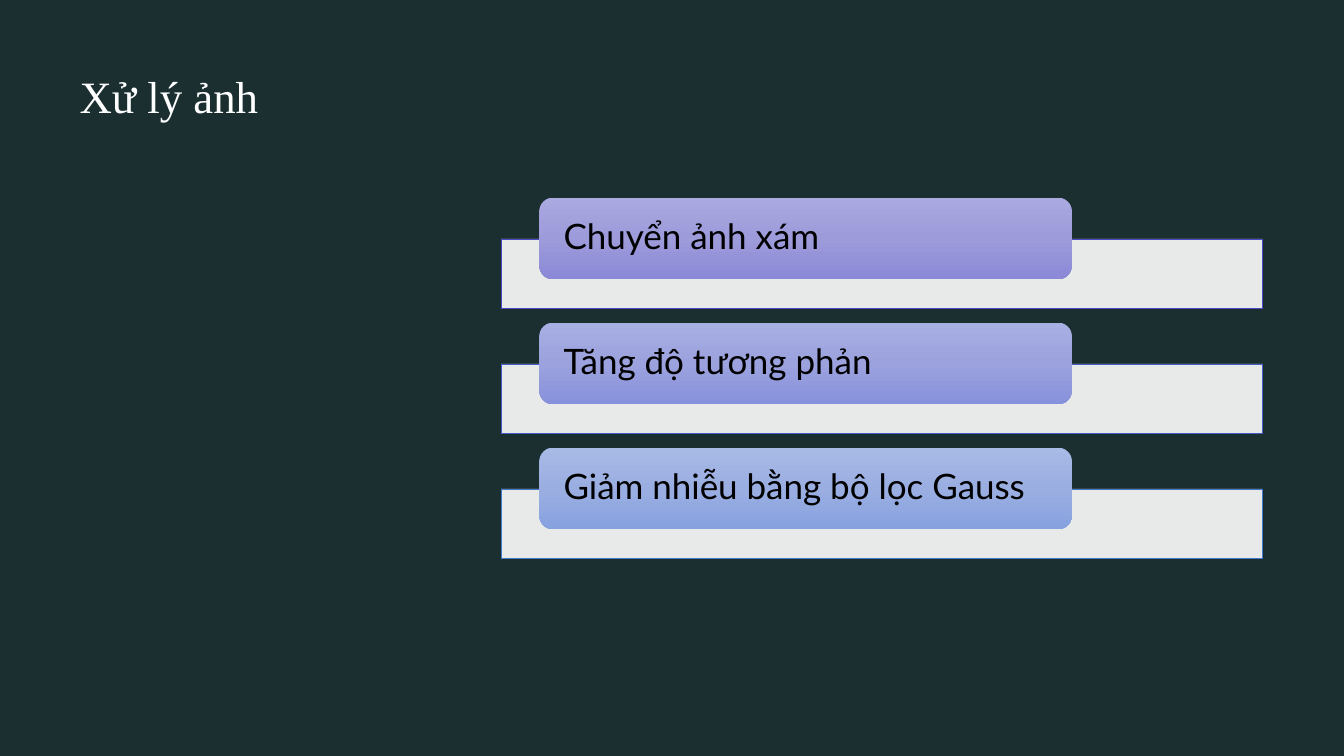
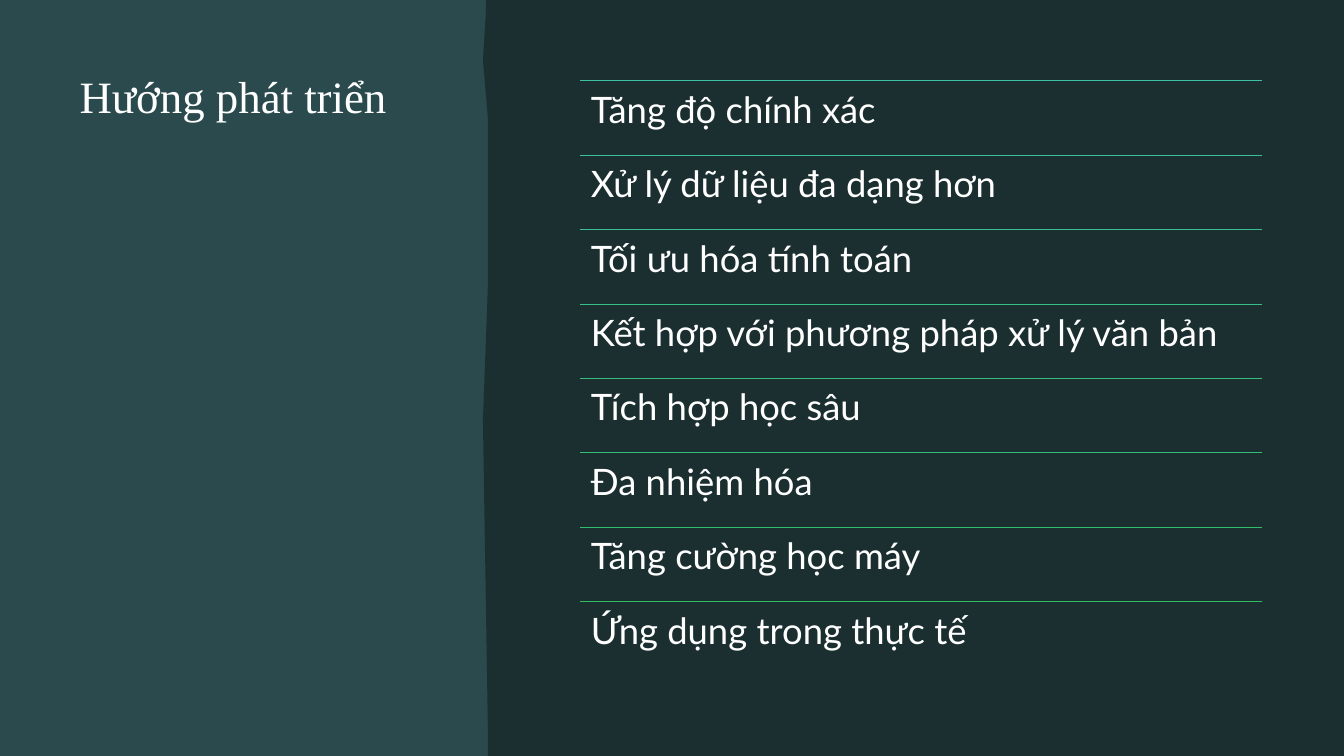
from copy import deepcopy

from lxml import etree
from pptx import Presentation
from pptx.dml.color import RGBColor
from pptx.enum.shapes import MSO_CONNECTOR, MSO_SHAPE
from pptx.enum.text import MSO_ANCHOR, PP_ALIGN
from pptx.oxml.ns import qn
from pptx.util import Inches, Pt

RECTANGLE = MSO_SHAPE.RECTANGLE
ROUNDED = MSO_SHAPE.ROUNDED_RECTANGLE
STRAIGHT = MSO_CONNECTOR.STRAIGHT
TOP, MIDDLE = MSO_ANCHOR.TOP, MSO_ANCHOR.MIDDLE
LEFT = PP_ALIGN.LEFT

COLORS = {
    name: RGBColor.from_string(value)
    for name, value in {
        "background": "1B2F31",
        "panel": "2A4A4D",
        "white": "FFFFFF",
        "black": "000000",
    }.items()
}
TITLE_FONT, BODY_FONT = "Times New Roman", "Lato"

prs = Presentation()
prs.slide_width, prs.slide_height = Inches(13.33), Inches(7.5)


def write(shape, text, font, size, color, margins=(0, 0), anchor=TOP, spacing=1.0):
    frame = shape.text_frame
    frame.word_wrap = True
    frame.vertical_anchor = anchor
    frame.margin_left = frame.margin_right = Inches(margins[0])
    frame.margin_top = frame.margin_bottom = Inches(margins[1])
    paragraph = frame.paragraphs[0]
    paragraph.text = text
    paragraph.alignment = LEFT
    paragraph.line_spacing = spacing
    paragraph.font.name = font
    paragraph.font.size = Pt(size)
    paragraph.font.color.rgb = COLORS[color]


def add_slide(title, background):
    slide = prs.slides.add_slide(prs.slide_layouts[6])
    slide.background.fill.solid()
    slide.background.fill.fore_color.rgb = COLORS[background]
    heading = slide.shapes.add_textbox(Inches(0.79), Inches(0.68), Inches(3.4), Inches(6.03))
    write(heading, title, TITLE_FONT, 32, "white")
    return slide


processing = add_slide("Xử lý ảnh", "background")
steps = [
    ("Chuyển ảnh xám", "4B47C5", ("AAA9E0", "9D9BDA", "8B89D8")),
    ("Tăng độ tương phản", "445CCA", ("A8AFE3", "9BA2DD", "8892DC")),
    ("Giảm nhiễu bằng bộ lọc Gauss", "4178CF", ("A8BAE6", "9AAEE1", "87A2E0")),
]
for index, (step, outline, shades) in enumerate(steps):
    top = 1.96 + 1.24 * index
    bar = processing.shapes.add_shape(
        RECTANGLE, Inches(4.97), Inches(top + 0.41), Inches(7.55), Inches(0.69))
    bar.shadow.inherit = False
    bar.fill.solid()
    bar.fill.fore_color.rgb = COLORS["white"]
    white = bar._element.spPr.find(".//" + qn("a:srgbClr"))
    etree.SubElement(white, qn("a:alpha"), val="90000")
    bar.line.color.rgb = RGBColor.from_string(outline)
    bar.line.width = Pt(0.5)

    label = processing.shapes.add_shape(
        ROUNDED, Inches(5.35), Inches(top), Inches(5.28), Inches(0.81))
    label.shadow.inherit = False
    label.line.fill.background()
    label.fill.gradient()
    label.fill.gradient_angle = 270
    stops = label._element.spPr.find(".//" + qn("a:gsLst"))
    stops.insert(1, deepcopy(stops[0]))
    for stop, position, shade in zip(label.fill.gradient_stops, (0, 0.5, 1), shades):
        stop.position = position
        stop.color.rgb = RGBColor.from_string(shade)
    write(label, step, BODY_FONT, 25, "black", (0.2, 0), MIDDLE, 0.9)

future = add_slide("Hướng phát triển", "panel")
edge = [(13.33, 0), (13.33, 7.5), (4.84, 7.5), (4.84, 7.29), (4.79, 4.17), (4.84, 2.81),
        (4.84, 1.18), (4.79, 0.6), (4.82, 0.11)]
outline = future.shapes.build_freeform(Inches(4.82), 0)
outline.add_line_segments([(Inches(x), Inches(y)) for x, y in edge], close=True)
torn_area = outline.convert_to_shape()
torn_area.shadow.inherit = False
torn_area.fill.solid()
torn_area.fill.fore_color.rgb = COLORS["background"]
torn_area.line.fill.background()

directions = [
    ("Tăng độ chính xác", "3CC1A3"),
    ("Xử lý dữ liệu đa dạng hơn", "3AC19A"),
    ("Tối ưu hóa tính toán", "38C091"),
    ("Kết hợp với phương pháp xử lý văn bản", "36BF88"),
    ("Tích hợp học sâu", "34BF7F"),
    ("Đa nhiệm hóa", "33BE75"),
    ("Tăng cường học máy", "31BE6C"),
    ("Ứng dụng trong thực tế", "2FBD62"),
]
row_height = 5.17 / (len(directions) - 1)
for index, (direction, color) in enumerate(directions):
    top = Inches(0.8 + row_height * index)
    rule = future.shapes.add_connector(STRAIGHT, Inches(5.75), top, Inches(12.52), top)
    rule.line.color.rgb = RGBColor.from_string(color)
    rule.line.width = Pt(0.5)
    etree.SubElement(rule._element.spPr, qn("a:effectLst"))
    entry = future.shapes.add_textbox(Inches(5.75), top, Inches(6.77), Inches(row_height))
    write(entry, direction, BODY_FONT, 26, "white", (0.11, 0.11), TOP, 0.9)

prs.save("out.pptx")
